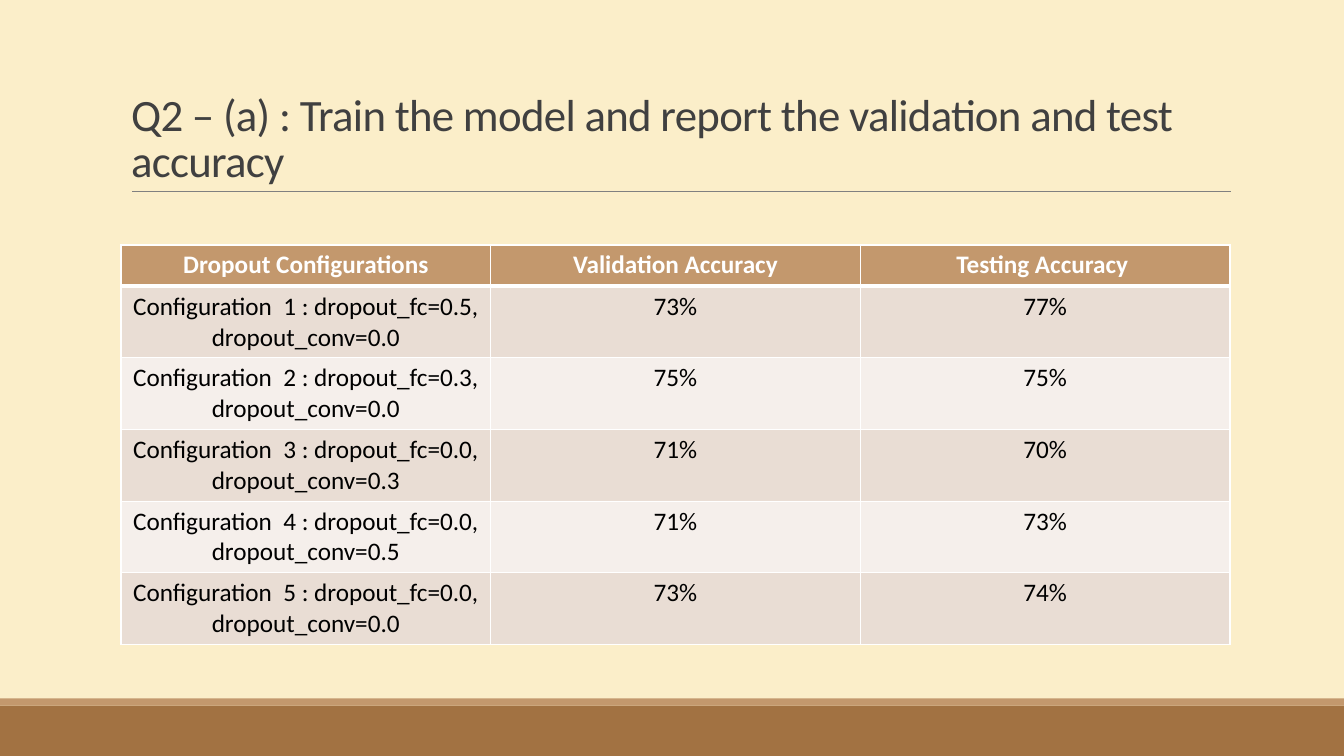
from lxml.etree import SubElement
from pptx import Presentation
from pptx.dml.color import RGBColor
from pptx.enum.shapes import MSO_CONNECTOR as Connector, MSO_SHAPE as Shape
from pptx.enum.text import MSO_ANCHOR as Anchor, MSO_AUTO_SIZE as AutoSize, PP_ALIGN as Align
from pptx.oxml.ns import qn
from pptx.util import Inches, Pt

COLORS = {
    "background": "FBEEC9",
    "footer": "A27242",
    "accent": "C3986D",
    "rule": "808080",
    "title": "404040",
    "border": "FFFFFF",
    "header_text": "FFFFFF",
    "body_text": "000000",
    "odd_row": "E9DDD4",
    "even_row": "F5EFEB",
}
FONT = "Calibri"
SLIDE_WIDTH, SLIDE_HEIGHT = 13.33, 7.5
HEADINGS = ["Dropout Configurations", "Validation Accuracy", "Testing Accuracy "]
RESULTS = [
    ("0.5", "0.0", "73%", "77%"),
    ("0.3", "0.0", "75%", "75%"),
    ("0.0", "0.3", "71%", "70%"),
    ("0.0", "0.5", "71%", "73%"),
    ("0.0", "0.0", "73%", "74%"),
]


def color(name):
    return RGBColor.from_string(COLORS[name])


def style_font(font, size, color_name, bold=False):
    font.name = FONT
    font.size = Pt(size)
    font.bold = bold
    font.color.rgb = color(color_name)


def add_footer(slide, left, top, width, height):
    stripe_height = 0.07
    bands = [("footer", top, height), ("accent", top - stripe_height, stripe_height)]
    for name, band_top, band_height in bands:
        band = slide.shapes.add_shape(
            Shape.RECTANGLE, Inches(left), Inches(band_top), Inches(width), Inches(band_height))
        band.shadow.inherit = False
        band.fill.solid()
        band.fill.fore_color.rgb = color(name)
        band.line.fill.background()


def add_title(slide, left, top, width, height):
    inset = 0.11
    bottom = Inches(top + height)
    rule = slide.shapes.add_connector(
        Connector.STRAIGHT, Inches(left + inset), bottom, Inches(left + width + 0.01), bottom)
    rule.line.color.rgb = color("rule")
    rule.line.width = Pt(0.5)
    SubElement(rule._element.spPr, qn("a:effectLst"))

    title = slide.shapes.title
    title.left, title.top = Inches(left), Inches(top)
    title.width, title.height = Inches(width), Inches(height)
    frame = title.text_frame
    frame.text = "Q2 – (a) : Train the model and report the validation and test accuracy"
    frame.word_wrap = True
    frame.auto_size = AutoSize.NONE
    frame.vertical_anchor = Anchor.BOTTOM
    paragraph = frame.paragraphs[0]
    paragraph.alignment = Align.LEFT
    paragraph.line_spacing = 0.85
    run = paragraph.runs[0]
    style_font(run.font, 32, "title")
    run.font._element.set("spc", "-50")


def add_borders(cell, top_width, bottom_width):
    properties = cell._tc.get_or_add_tcPr()
    for side, width in [("L", 1), ("R", 1), ("T", top_width), ("B", bottom_width)]:
        border = SubElement(properties, qn(f"a:ln{side}"), w=str(Pt(width)))
        fill = SubElement(border, qn("a:solidFill"))
        SubElement(fill, qn("a:srgbClr"), val=COLORS["border"])


def add_results(slide, left, top, width, height):
    rows = [HEADINGS] + [
        (f"Configuration  {number} : dropout_fc={fc}, dropout_conv={conv}", validation, testing)
        for number, (fc, conv, validation, testing) in enumerate(RESULTS, 1)
    ]
    header_height = 0.41
    row_height = (height - header_height) / len(RESULTS)
    results = slide.shapes.add_table(
        len(rows), len(HEADINGS), Inches(left), Inches(top), Inches(width), Inches(height)).table
    for column in results.columns:
        column.width = Inches(width / len(HEADINGS))
    for row_index, texts in enumerate(rows):
        is_header = row_index == 0
        results.rows[row_index].height = Inches(header_height if is_header else row_height)
        fill_name = "accent" if is_header else ("odd_row" if row_index % 2 else "even_row")
        for column_index, text in enumerate(texts):
            cell = results.cell(row_index, column_index)
            add_borders(cell, 3 if row_index == 1 else 1, 3 if is_header else 1)
            cell.fill.solid()
            cell.fill.fore_color.rgb = color(fill_name)
            cell.text_frame.text = text
            paragraph = cell.text_frame.paragraphs[0]
            paragraph.alignment = Align.CENTER
            style_font(paragraph.runs[0].font, 18,
                       "header_text" if is_header else "body_text", is_header)


def main():
    deck = Presentation()
    deck.slide_width, deck.slide_height = Inches(SLIDE_WIDTH), Inches(SLIDE_HEIGHT)
    slide = deck.slides.add_slide(deck.slide_layouts[5])
    slide.background.fill.solid()
    slide.background.fill.fore_color.rgb = color("background")
    add_footer(slide, 0, 7, SLIDE_WIDTH, 0.5)
    add_title(slide, 1.2, 0.31, 11, 1.59)
    add_results(slide, 1.2, 2.43, 11, 3.91)
    deck.save("out.pptx")


if __name__ == "__main__":
    main()
